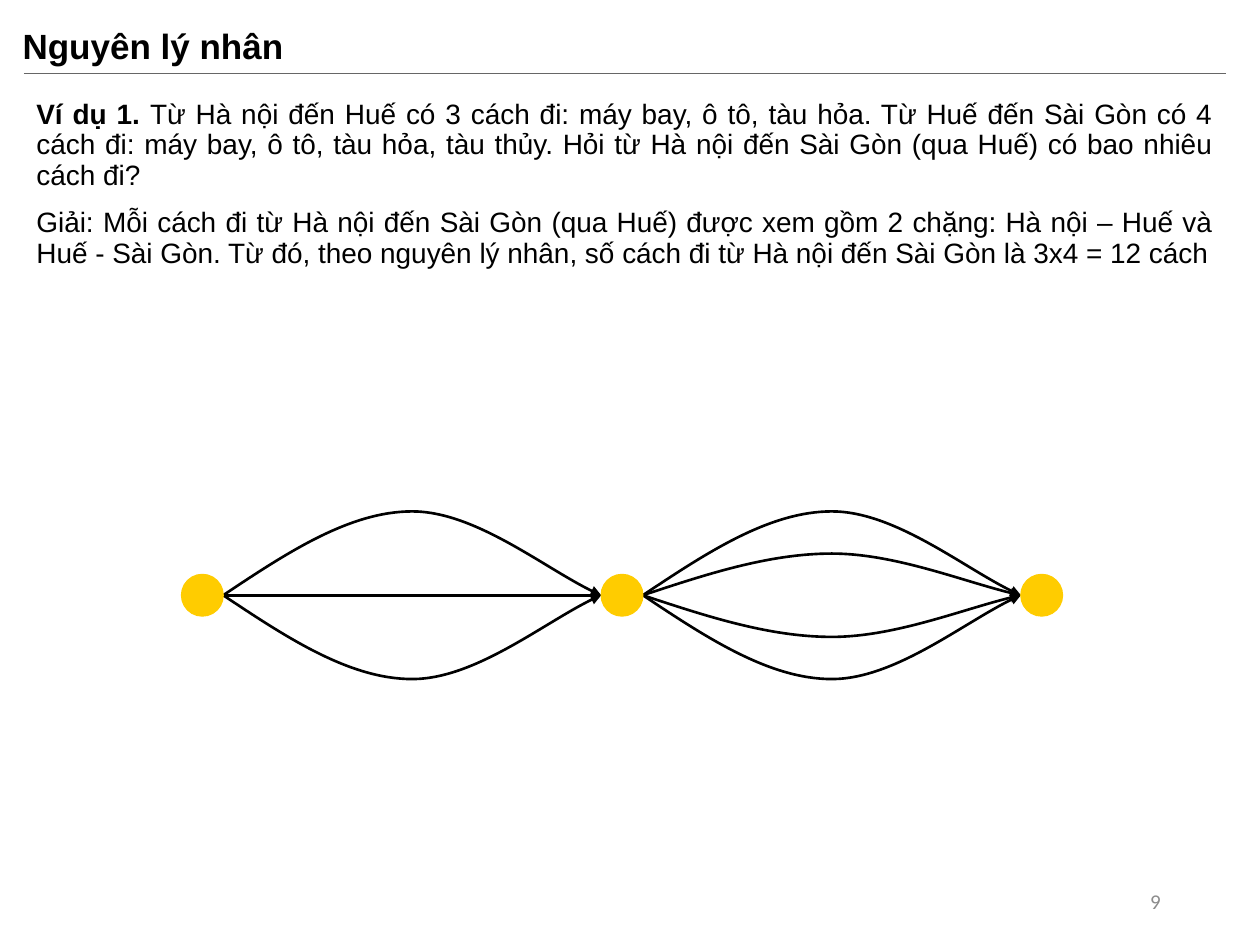
from dataclasses import dataclass

from lxml.etree import SubElement
from pptx import Presentation
from pptx.dml.color import RGBColor as RGB
from pptx.enum.shapes import MSO_CONNECTOR as LINK, MSO_SHAPE as SHAPE
from pptx.enum.text import MSO_ANCHOR as ANCHOR, MSO_AUTO_SIZE as FIT, PP_ALIGN as ALIGN
from pptx.oxml.ns import qn
from pptx.util import Cm, Pt


@dataclass(frozen=True)
class Theme:
    font: str = "Arial"
    num_font: str = "Calibri"
    ink: RGB = RGB(0, 0, 0)
    rule: RGB = RGB(0x66, 0x66, 0x66)
    gray: RGB = RGB(0x8C, 0x8C, 0x8C)
    gold: RGB = RGB(0xFF, 0xCC, 0x00)
    title: Pt = Pt(20)
    body: Pt = Pt(16)
    num: Pt = Pt(12)


THEME = Theme()

DOT = 0.84      # diameter of a city
PITCH = 8.46    # distance from city to city
LEFT, MID = 3.66, 12
SPAN = PITCH - DOT
# Two Bézier pieces: share of the span, share of the rise
CURVE = [(1 / 6, 0.5), (1 / 3, 1), (0.5, 1), (2 / 3, 1), (0.87, 0.25), (1, 0)]
# Rise of each route, one list for each leg
LEGS = [[1.69, 0, -1.69], [1.69, 0.84, -0.84, -1.69]]

TASK = [
    ("Ví dụ 1. ", True),
    ("Từ Hà nội đến Huế có 3 cách đi: máy bay, ô tô, tàu hỏa. "
     "Từ Huế đến Sài Gòn có 4 cách đi: máy bay, ô tô, tàu hỏa, tàu thủy. "
     "Hỏi từ Hà nội đến Sài Gòn (qua Huế) có bao nhiêu cách đi?", False),
]
ANSWER = [
    ("Giải: Mỗi cách đi từ Hà nội đến Sài Gòn (qua Huế) được xem gồm 2 chặng: "
     "Hà nội – Huế và Huế - Sài Gòn. Từ đó, theo nguyên lý nhân, "
     "số cách đi từ Hà nội đến Sài Gòn là 3x4 = 12 cách", False),
]


def place(shape, x, y, w, h):
    shape.left, shape.top, shape.width, shape.height = map(Cm, (x, y, w, h))


def add_run(para, text, size, color=THEME.ink, bold=False, face=THEME.font):
    run = para.add_run()
    run.text = text
    font = run.font
    font.name, font.size, font.bold = face, size, bold
    font.color.rgb = color


def set_title(slide, text):
    title = slide.shapes.title
    place(title, 0.2, 0.43, 22.83, 1.07)
    frame = title.text_frame
    frame.auto_size, frame.vertical_anchor = FIT.NONE, ANCHOR.MIDDLE
    para = frame.paragraphs[0]
    para.alignment, para.line_spacing = ALIGN.LEFT, 0.9
    add_run(para, text, THEME.title, bold=True)


def set_body(slide, paras):
    body = slide.placeholders[1]
    place(body, 0.48, 1.9, 24.23, 14.83)
    frame = body.text_frame
    frame.auto_size = FIT.NONE
    for i, runs in enumerate(paras):
        para = frame.add_paragraph() if i else frame.paragraphs[0]
        para.alignment, para.line_spacing = ALIGN.JUSTIFY, 0.9
        para.space_before = Pt(10)
        props = para._p.get_or_add_pPr()
        props.set("marL", "0")
        props.set("indent", "0")
        SubElement(props, qn("a:buNone"))
        for text, bold in runs:
            add_run(para, text, THEME.body, bold=bold)


def add_number(slide, text):
    box = slide.shapes.add_textbox(Cm(17.93), Cm(17.65), Cm(5.72), Cm(1.02))
    frame = box.text_frame
    frame.word_wrap, frame.vertical_anchor = True, ANCHOR.MIDDLE
    para = frame.paragraphs[0]
    para.alignment = ALIGN.RIGHT
    add_run(para, text, THEME.num, THEME.gray, face=THEME.num_font)


def add_line(shapes, x1, x2, y, color, width):
    line = shapes.add_connector(LINK.STRAIGHT, Cm(x1), Cm(y), Cm(x2), Cm(y))
    line.line.color.rgb, line.line.width = color, Pt(width)
    SubElement(line._element.spPr, qn("a:effectLst"))
    return line


def add_arc(shapes, x, rise):
    pts = [(Cm(x + SPAN * u), Cm(MID - rise * v)) for u, v in CURVE]
    pen = shapes.build_freeform(Cm(x), Cm(MID))
    pen.add_line_segments(pts, close=False)
    arc = pen.convert_to_shape()
    bend(arc)
    arc.shadow.inherit = False
    arc.fill.background()
    arc.line.color.rgb, arc.line.width = THEME.ink, Pt(1.5)
    return arc


def bend(arc):
    """Turn every three straight segments into one cubic Bézier."""
    track = next(arc._element.iter(qn("a:path")))
    steps = track.findall(qn("a:lnTo"))
    for i in range(0, len(steps), 3):
        cubic = SubElement(track, qn("a:cubicBezTo"))
        for step in steps[i:i + 3]:
            cubic.append(step[0])
            track.remove(step)


def add_route(shapes, x, rise):
    if rise:
        route = add_arc(shapes, x, rise)
    else:
        route = add_line(shapes, x, x + SPAN, MID, THEME.ink, 1.5)
    SubElement(route.line._get_or_add_ln(), qn("a:tailEnd"), type="triangle")


def add_city(shapes, x):
    city = shapes.add_shape(SHAPE.OVAL, Cm(x), Cm(MID - DOT / 2), Cm(DOT), Cm(DOT))
    city.shadow.inherit = False
    city.fill.solid()
    city.fill.fore_color.rgb = city.line.color.rgb = THEME.gold
    city.line.width = Pt(0.75)


def add_map(slide):
    shapes = slide.shapes.add_group_shape().shapes
    for i, leg in enumerate(LEGS):
        for rise in leg:
            add_route(shapes, LEFT + i * PITCH + DOT, rise)
    for i in range(len(LEGS) + 1):
        add_city(shapes, LEFT + i * PITCH)


def main():
    deck = Presentation()
    deck.slide_width, deck.slide_height = Cm(25.4), Cm(19.05)
    slide = deck.slides.add_slide(deck.slide_layouts[1])
    set_title(slide, "Nguyên lý nhân")
    set_body(slide, [TASK, ANSWER])
    add_number(slide, "9")
    add_line(slide.shapes, 0.48, 24.71, 1.48, THEME.rule, 0.5)
    add_map(slide)
    deck.save("out.pptx")


if __name__ == "__main__":
    main()
